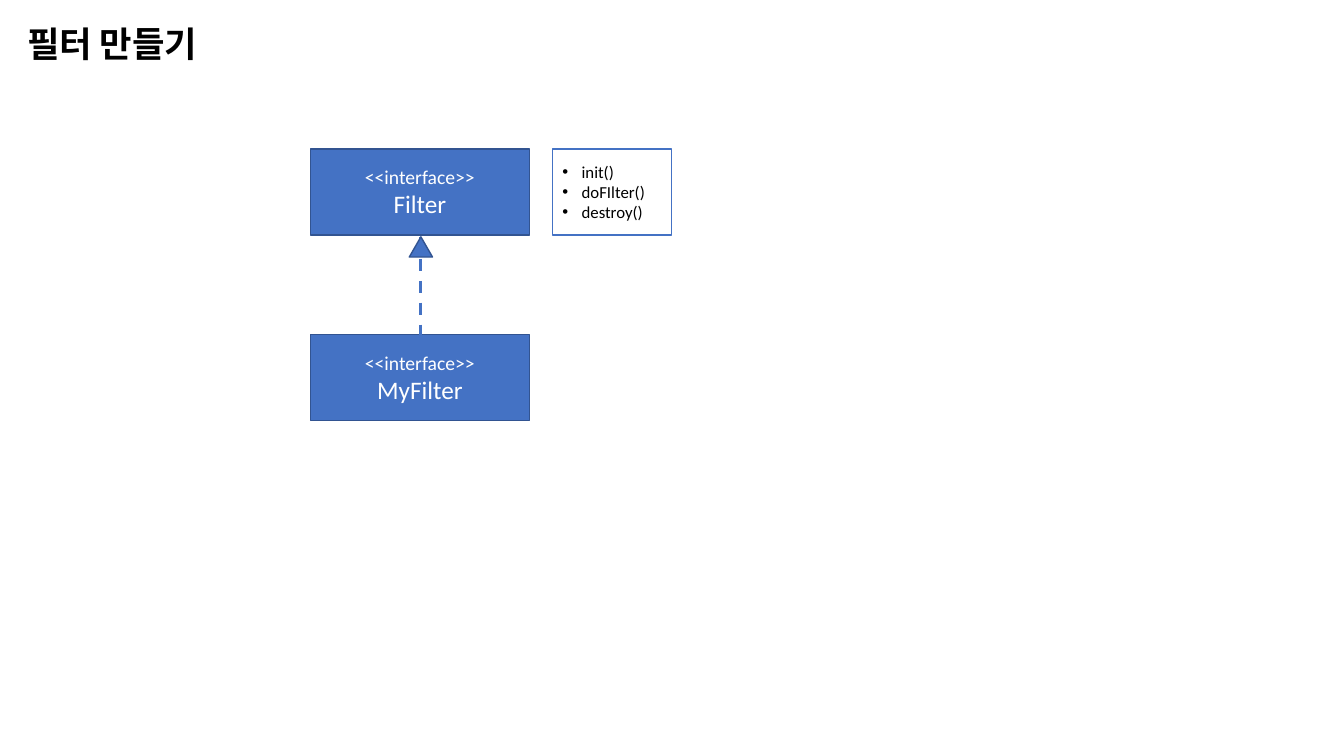
from pptx import Presentation
from pptx.dml.color import RGBColor
from pptx.enum.dml import MSO_LINE as Dash
from pptx.enum.shapes import MSO_CONNECTOR as Conn, MSO_SHAPE as Kind
from pptx.enum.text import MSO_ANCHOR as Anchor, PP_ALIGN as Align
from pptx.oxml.ns import qn
from pptx.util import Inches, Pt
from lxml import etree

BLUE = RGBColor(0x44, 0x72, 0xC4)
NAVY = RGBColor(0x32, 0x54, 0x91)
WHITE = RGBColor(0xFF, 0xFF, 0xFF)
BLACK = RGBColor(0, 0, 0)


def add_box(kind, left, top, width, height, fill, edge):
    box = slide.shapes.add_shape(
        kind, Inches(left), Inches(top), Inches(width), Inches(height))
    box.shadow.inherit = False
    box.fill.solid()
    box.fill.fore_color.rgb = fill
    box.line.color.rgb = edge
    box.line.width = Pt(1)
    return box


def write(frame, text, sizes, color, align):
    frame.word_wrap = True
    frame.vertical_anchor = Anchor.MIDDLE
    frame.text = text
    for para, size in zip(frame.paragraphs, sizes):
        para.alignment = align
        font = para.runs[0].font
        font.name = "Calibri"
        font.size = Pt(size)
        font.color.rgb = color


deck = Presentation()
deck.slide_width = Inches(13.33)
deck.slide_height = Inches(7.5)
slide = deck.slides.add_slide(deck.slide_layouts[6])

title = slide.shapes.add_textbox(
    Inches(0.17), Inches(0.2), Inches(4.12), Inches(0.51))
write(title.text_frame, "필터 만들기", [25.2], BLACK, Align.LEFT)
head = title.text_frame.paragraphs[0]
head.line_spacing = 0.9
head.runs[0].font.bold = True

for name, top in [("Filter", 1.48), ("MyFilter", 3.32)]:
    box = add_box(Kind.RECTANGLE, 3.08, top, 2.17, 0.85, BLUE, NAVY)
    write(box.text_frame, f"<<interface>>\n{name}", [14, 18], WHITE, Align.CENTER)

link = slide.shapes.add_connector(
    Conn.STRAIGHT, Inches(4.17), Inches(2.35), Inches(4.17), Inches(3.32))
link.line.color.rgb = BLUE
link.line.width = Pt(2.25)
link.line.dash_style = Dash.DASH
etree.SubElement(link._element.spPr, qn("a:effectLst"))

add_box(Kind.ISOSCELES_TRIANGLE, 4.06, 2.35, 0.23, 0.2, BLUE, NAVY)

notes = add_box(Kind.RECTANGLE, 5.48, 1.48, 1.18, 0.85, WHITE, BLUE)
write(notes.text_frame, "init()\ndoFIlter()\ndestroy()", [12] * 3, BLACK, Align.LEFT)
for para in notes.text_frame.paragraphs:
    props = para._p.get_or_add_pPr()
    props.set("marL", str(Inches(0.19)))
    props.set("indent", str(Inches(-0.19)))
    etree.SubElement(props, qn("a:buFont"), typeface="Arial")
    etree.SubElement(props, qn("a:buChar"), char="•")

deck.save("out.pptx")
